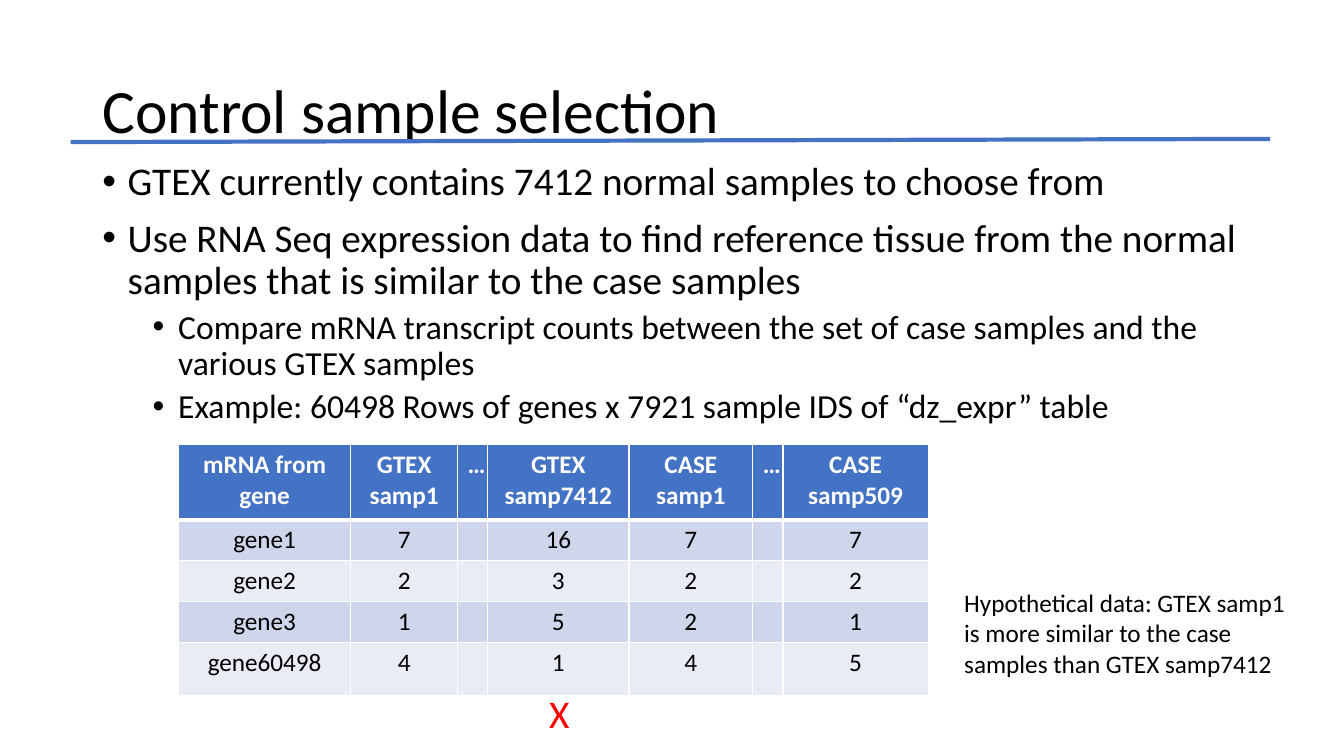
from dataclasses import dataclass

from lxml.etree import SubElement
from pptx import Presentation
from pptx.dml.color import RGBColor as Rgb
from pptx.enum.shapes import MSO_CONNECTOR as Connector
from pptx.enum.text import MSO_ANCHOR as Anchor, PP_ALIGN as Align
from pptx.oxml.ns import qn
from pptx.util import Cm, Pt


@dataclass(frozen=True)
class Theme:
    font: str = "Calibri"
    text: str = "000000"
    light: str = "FFFFFF"
    accent: str = "4472C4"
    alert: str = "FF0000"
    bands: tuple = ("CFD5EA", "E9EBF5")
    title: int = 44
    large: int = 28
    medium: int = 24
    small: int = 18


THEME = Theme()

BULLETS = [
    (0, "GTEX currently contains 7412 normal samples to choose from"),
    (0, "Use RNA Seq expression data to find reference tissue from the normal "
        "samples that is similar to the case samples"),
    (1, "Compare mRNA transcript counts between the set of case samples and "
        "the various GTEX samples"),
    (1, "Example: 60498 Rows of genes x 7921 sample IDS of “dz_expr” table"),
]

EXPRESSION_ROWS = [
    ["mRNA from gene", "GTEX samp1", "…", "GTEX samp7412", "CASE samp1", "…", "CASE samp509"],
    ["gene1", "7", "", "16", "7", "", "7"],
    ["gene2", "2", "", "3", "2", "", "2"],
    ["gene3", "1", "", "5", "2", "", "1"],
    ["gene60498", "4", "", "1", "4", "", "5"],
]
COLUMN_WIDTHS = [4.34, 2.69, 0.76, 3.56, 3.12, 0.76, 3.66]
ROW_HEIGHTS = [1.9, 1.03, 1.03, 1.03, 1.33]


def apply_format(target, values):
    for name, value in values.items():
        setattr(target, name, value)


def write_text(paragraph, text, size, color=THEME.text, bold=False, **layout):
    paragraph.text = text
    apply_format(paragraph, layout)
    apply_format(paragraph.font, {"name": THEME.font, "size": Pt(size), "bold": bold})
    paragraph.font.color.rgb = Rgb.from_string(color)


def add_text_frame(slide, box, anchor=Anchor.TOP):
    frame = slide.shapes.add_textbox(*map(Cm, box)).text_frame
    apply_format(frame, {"word_wrap": True, "vertical_anchor": anchor})
    return frame


def add_label(slide, box, text, size, color=THEME.text, anchor=Anchor.TOP, **layout):
    frame = add_text_frame(slide, box, anchor)
    write_text(frame.paragraphs[0], text, size, color, **layout)


def set_bullet(paragraph, level):
    properties = paragraph._p.get_or_add_pPr()
    properties.set("marL", str(Cm(0.64 + 1.27 * level)))
    properties.set("indent", str(-Cm(0.64)))
    SubElement(properties, qn("a:buFont"), typeface="Arial")
    SubElement(properties, qn("a:buChar"), char="•")


def add_bullets(slide, box, bullets):
    frame = add_text_frame(slide, box)
    for index, (level, text) in enumerate(bullets):
        paragraph = frame.add_paragraph() if index else frame.paragraphs[0]
        size, gap = ((THEME.large, 10), (THEME.medium, 5))[level]
        write_text(paragraph, text, size, level=level, line_spacing=0.9, space_before=Pt(gap))
        set_bullet(paragraph, level)


def add_rule(slide, ends):
    rule = slide.shapes.add_connector(Connector.STRAIGHT, *map(Cm, ends))
    rule.line.color.rgb = Rgb.from_string(THEME.accent)
    rule.line.width = Pt(3)
    SubElement(rule._element.spPr, qn("a:effectLst"))


def set_borders(cell, widths):
    properties = cell._tc.get_or_add_tcPr()
    for side, width in widths.items():
        line = SubElement(properties, qn(f"a:ln{side}"), w=str(Pt(width)))
        fill = SubElement(line, qn("a:solidFill"))
        SubElement(fill, qn("a:srgbClr"), val=THEME.light)


def style_cell(cell, text, row_index):
    header = row_index == 0
    write_text(cell.text_frame.paragraphs[0], text, THEME.small,
               THEME.light if header else THEME.text, header, alignment=Align.CENTER)
    set_borders(cell, {"L": 1, "R": 1, "T": 3 if row_index == 1 else 1, "B": 3 if header else 1})
    cell.fill.solid()
    color = THEME.accent if header else THEME.bands[(row_index - 1) % 2]
    cell.fill.fore_color.rgb = Rgb.from_string(color)


def add_expression_table(slide, left, top):
    size = sum(COLUMN_WIDTHS), sum(ROW_HEIGHTS)
    table = slide.shapes.add_table(len(ROW_HEIGHTS), len(COLUMN_WIDTHS),
                                   *map(Cm, (left, top, *size))).table
    for column, width in zip(table.columns, COLUMN_WIDTHS):
        column.width = Cm(width)
    for row_index, (row, height) in enumerate(zip(table.rows, ROW_HEIGHTS)):
        row.height = Cm(height)
        for cell, text in zip(row.cells, EXPRESSION_ROWS[row_index]):
            style_cell(cell, text, row_index)


def main():
    presentation = Presentation()
    apply_format(presentation, {"slide_width": Cm(33.87), "slide_height": Cm(19.05)})
    slide = presentation.slides.add_slide(presentation.slide_layouts[6])
    add_label(slide, (2.33, 1.02, 29.21, 3.68), "Control sample selection", THEME.title,
              anchor=Anchor.MIDDLE, line_spacing=0.9)
    add_bullets(slide, (2.33, 3.96, 29.21, 7.21), BULLETS)
    add_rule(slide, (1.78, 3.58, 32, 3.5))
    add_expression_table(slide, 4.5, 11.2)
    add_label(slide, (24.05, 14.68, 8.97, 2.57),
              "Hypothetical data: GTEX samp1 is more similar to the case "
              "samples than GTEX samp7412", THEME.small)
    add_label(slide, (13.59, 17.25, 1.73, 1.45), "X", THEME.large, THEME.alert)
    presentation.save("out.pptx")


if __name__ == "__main__":
    main()
